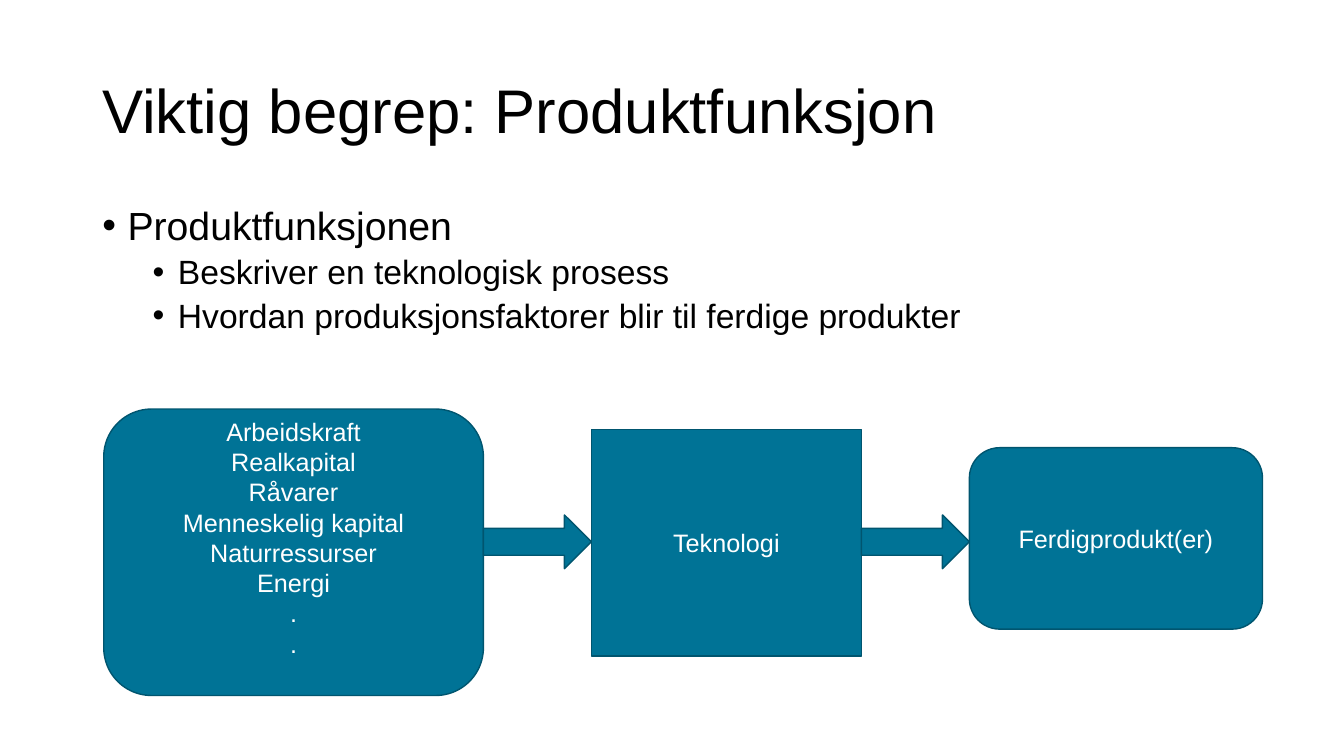
from dataclasses import dataclass

from lxml import etree
from pptx import Presentation
from pptx.dml.color import RGBColor
from pptx.enum.shapes import MSO_SHAPE
from pptx.enum.text import MSO_ANCHOR, PP_ALIGN
from pptx.oxml.ns import qn
from pptx.util import Inches, Pt

ROUNDED = MSO_SHAPE.FLOWCHART_ALTERNATE_PROCESS
RECTANGLE = MSO_SHAPE.RECTANGLE
ARROW = MSO_SHAPE.RIGHT_ARROW
MIDDLE = MSO_ANCHOR.MIDDLE
TOP = MSO_ANCHOR.TOP
CENTER = PP_ALIGN.CENTER

COLUMNS, ROWS = 160, 90
WIDTH, HEIGHT = Inches(13.33), Inches(7.5)


@dataclass(frozen=True)
class Theme:
    font: str = "Arial"
    ink: RGBColor = RGBColor(0x00, 0x00, 0x00)
    fill: RGBColor = RGBColor(0x00, 0x73, 0x96)
    outline: RGBColor = RGBColor(0x00, 0x55, 0x6F)
    on_fill: RGBColor = RGBColor(0xFF, 0xFF, 0xFF)
    title: int = 44
    levels: tuple = (28, 24)
    step: int = 18


THEME = Theme()

TITLE = "Viktig begrep: Produktfunksjon"
POINTS = [
    (0, "Produktfunksjonen"),
    (1, "Beskriver en teknologisk prosess"),
    (1, "Hvordan produksjonsfaktorer blir til ferdige produkter"),
]
FACTORS = [
    "Arbeidskraft", "Realkapital", "Råvarer", "Menneskelig kapital",
    "Naturressurser", "Energi", ".", ".",
]
FLOW = [
    (ROUNDED, 0, 45.2, 34.1, FACTORS),
    (ARROW, 12.6, 12.85, 6.4, []),
    (RECTANGLE, 2.4, 32.15, 27, ["Teknologi"]),
    (ARROW, 12.6, 12.85, 6.4, []),
    (ROUNDED, 4.6, 34.9, 21.6, ["Ferdigprodukt(er)"]),
]


def place(box):
    left, top, width, height = box
    return (int(WIDTH * left / COLUMNS), int(HEIGHT * top / ROWS),
            int(WIDTH * width / COLUMNS), int(HEIGHT * height / ROWS))


def style(paragraph, size, color):
    for run in paragraph.runs:
        run.font.name = THEME.font
        run.font.size = Pt(size)
        run.font.color.rgb = color


def add_frame(slide, box, anchor):
    frame = slide.shapes.add_textbox(*place(box)).text_frame
    frame.word_wrap = True
    frame.vertical_anchor = anchor
    return frame


def add_bullet(paragraph, margin):
    properties = paragraph._p.get_or_add_pPr()
    properties.set("marL", str(Inches(margin)))
    properties.set("indent", str(Inches(-0.25)))
    font = etree.SubElement(properties, qn("a:buFont"))
    font.set("typeface", THEME.font)
    bullet = etree.SubElement(properties, qn("a:buChar"))
    bullet.set("char", "•")


def draw_title(slide, box):
    frame = add_frame(slide, box, MIDDLE)
    frame.text = TITLE
    heading = frame.paragraphs[0]
    heading.line_spacing = 0.9
    style(heading, THEME.title, THEME.ink)


def draw_points(slide, box):
    frame = add_frame(slide, box, TOP)
    frame.text = "\n".join(text for _, text in POINTS)
    for point, (level, _) in zip(frame.paragraphs, POINTS):
        point.level = level
        point.line_spacing = 0.9
        point.space_before = Pt(10 - 5 * level)
        add_bullet(point, 0.25 + 0.5 * level)
        style(point, THEME.levels[level], THEME.ink)


def draw_step(slide, kind, box, lines):
    step = slide.shapes.add_shape(kind, *place(box))
    step.shadow.inherit = False
    step.fill.solid()
    step.fill.fore_color.rgb = THEME.fill
    step.line.color.rgb = THEME.outline
    step.line.width = Pt(1)
    if not lines:
        return
    frame = step.text_frame
    frame.word_wrap = True
    frame.vertical_anchor = MIDDLE
    frame.text = "\n".join(lines)
    for line in frame.paragraphs:
        line.alignment = CENTER
        style(line, THEME.step, THEME.on_fill)
    if lines is FACTORS:
        frame.margin_bottom = Inches(0.35)


def draw_flow(slide, box):
    left, top = box[:2]
    for kind, drop, width, height, lines in FLOW:
        draw_step(slide, kind, (left, top + drop, width, height), lines)
        left += width


def main():
    deck = Presentation()
    deck.slide_width, deck.slide_height = WIDTH, HEIGHT
    slide = deck.slides.add_slide(deck.slide_layouts[6])
    draw_title(slide, (11, 4.8, 138, 17.4))
    draw_points(slide, (11, 24, 138, 57.1))
    draw_flow(slide, (12.35, 48.7, 137.95, 34.1))
    deck.save("out.pptx")


if __name__ == "__main__":
    main()
